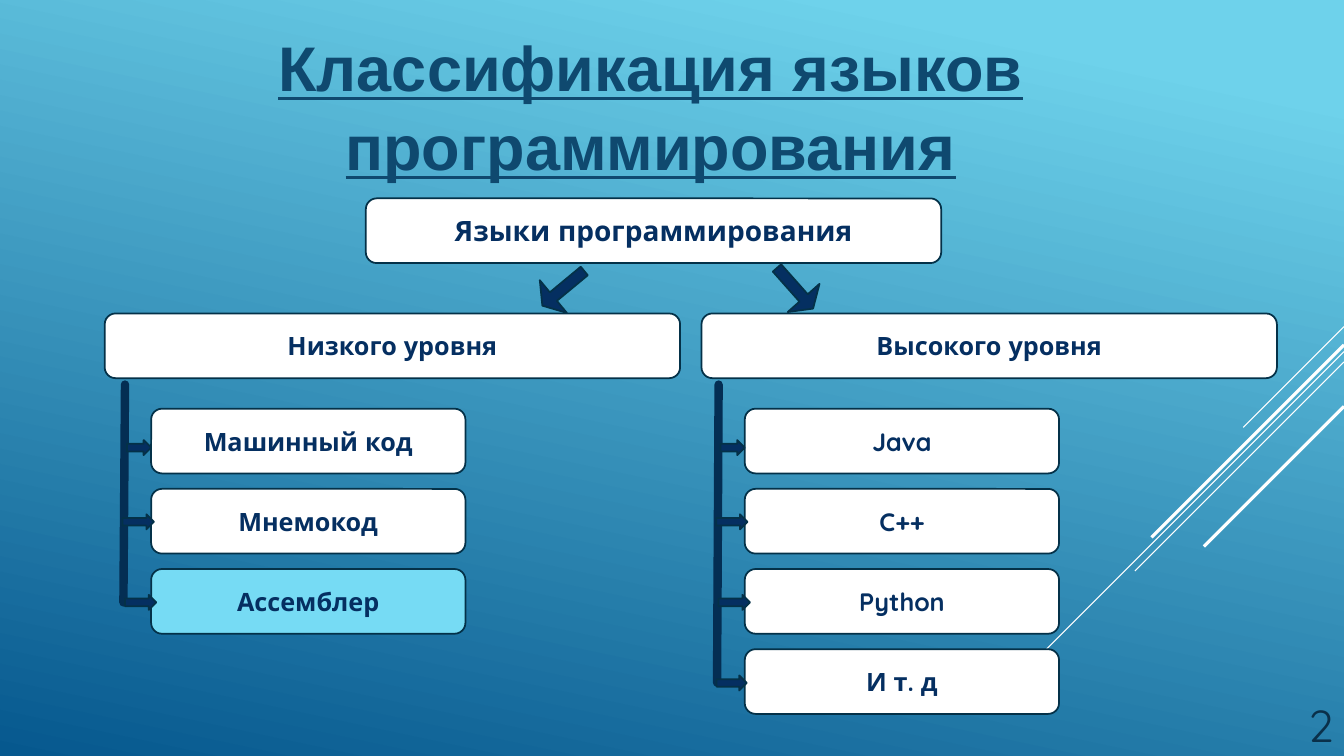
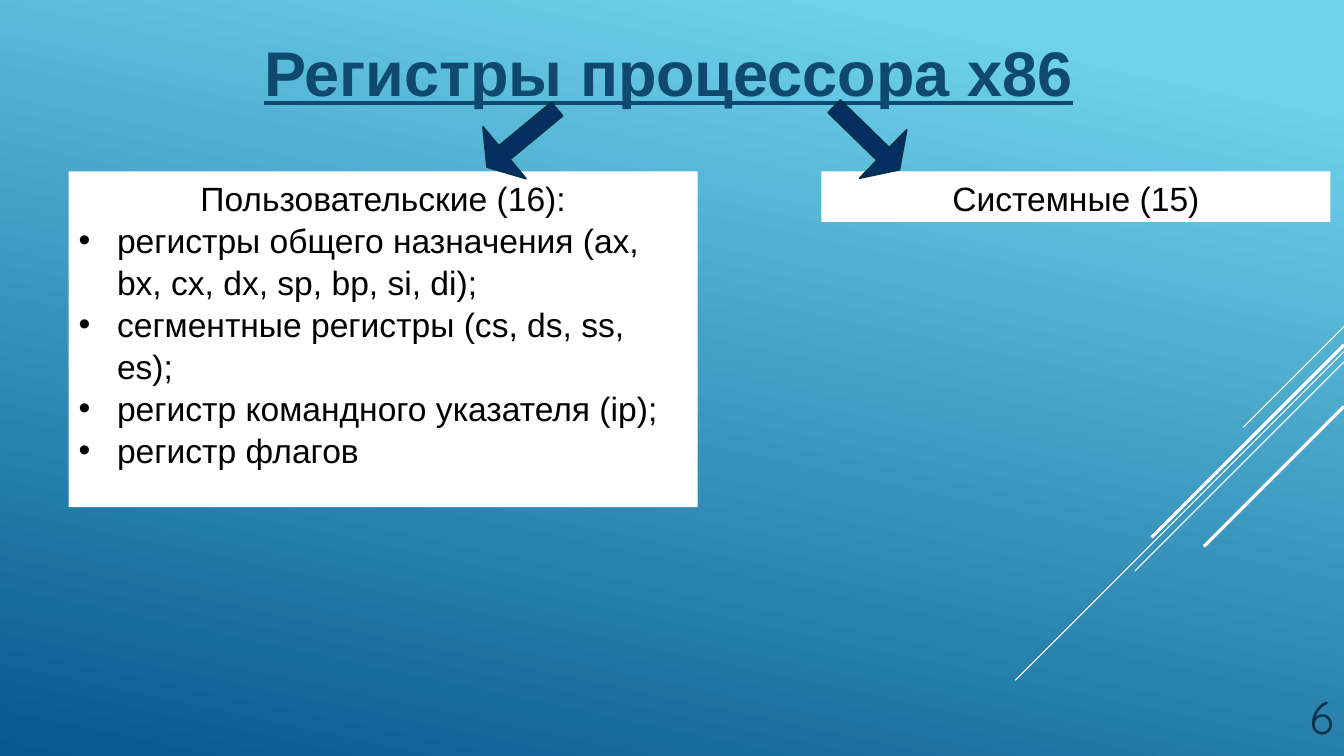
"""Build two slides on programming languages and x86 registers."""
from dataclasses import dataclass

from lxml.etree import SubElement
from pptx import Presentation
from pptx.dml.color import RGBColor
from pptx.enum.shapes import MSO_CONNECTOR, MSO_SHAPE
from pptx.enum.text import MSO_ANCHOR, MSO_AUTO_SIZE, PP_ALIGN
from pptx.oxml.ns import qn
from pptx.util import Cm, Pt

WHITE = RGBColor(0xFF, 0xFF, 0xFF)
BLACK = RGBColor(0x00, 0x00, 0x00)
SKY = RGBColor(0x6E, 0xD2, 0xEB)
DEEP = RGBColor(0x06, 0x58, 0x8E)
TITLE = RGBColor(0x0F, 0x49, 0x6F)
NUMBER = RGBColor(0x0A, 0x30, 0x4A)
NAVY = RGBColor(0x05, 0x2F, 0x61)
OUTLINE = RGBColor(0x04, 0x31, 0x48)
TRUNK = RGBColor(0x04, 0x2E, 0x53)
ACCENT = RGBColor(0x76, 0xDB, 0xF4)

ARIAL = "Arial"
QUICKSAND = "Quicksand"
SLIDE_W, SLIDE_H = 33.87, 19.05
ARIAL_SPACING = 1.04
BOX_H = 1.63
LEVEL_W = 14.5
ITEM_W = 7.92
ITEM_TOP = 10.3
ITEM_PITCH = 2.02
TRUNK_TOP = 9.69
INDENT = 0.97


@dataclass(frozen=True)
class Box:
    """Position and size in centimetres."""
    x: float
    y: float
    w: float
    h: float


@dataclass(frozen=True)
class Ray:
    """Diagonal line that starts at the right edge."""
    y: float
    reach: float
    width: float


@dataclass(frozen=True)
class Prong:
    """Small arrow, placed relative to the item it points at."""
    dx: float
    dy: float
    w: float


@dataclass(frozen=True)
class Branch:
    """Language level with its items."""
    level: str
    level_x: float
    item_x: float
    items: tuple[str, ...]
    highlight: str = ""


RAYS = (
    Ray(8.23, 2.54, 0.75),
    Ray(8.86, 8.28, 0.75),
    Ray(9.12, 5.27, 0.75),
    Ray(8.69, 4.85, 2.25),
    Ray(10.24, 3.53, 2.25),
)
PRONGS = (
    Prong(-0.61, 0.79, 0.61),
    Prong(-0.72, 0.64, 0.79),
    Prong(-0.66, 0.65, 0.79),
    Prong(-0.71, 0.66, 0.76),
)
BRANCHES = (
    Branch("Низкого уровня", 2.64, 3.81,
           ("Машинный код", "Мнемокод", "Ассемблер"), "Ассемблер"),
    Branch("Высокого уровня", 17.68, 18.77,
           ("Java", "C++", "Python", "И т. д")),
)
USER_REGISTERS = (
    "регистры общего назначения (ax, bx, cx, dx, sp, bp, si, di);",
    "сегментные регистры (cs, ds, ss, es);",
    "регистр командного указателя (ip);",
    "регистр флагов",
)


def style(p, size: float, font: str, color: RGBColor, align=PP_ALIGN.CENTER,
          bold: bool = False, underline: bool = False) -> None:
    """Format a paragraph and its runs."""
    p.alignment = align
    if font == ARIAL:
        p.line_spacing = ARIAL_SPACING
    for r in p.runs:
        f = r.font
        f.size, f.name, f.bold, f.underline = Pt(size), font, bold, underline
        f.color.rgb = color


def add_line(s, x1: float, y1: float, x2: float, y2: float, color: RGBColor,
             width: float, cap: str = "flat") -> None:
    """Draw a straight line without a shadow."""
    c = s.shapes.add_connector(MSO_CONNECTOR.STRAIGHT, Cm(x1), Cm(y1), Cm(x2), Cm(y2))
    c.line.color.rgb = color
    c.line.width = Pt(width)
    sp_pr = c.element.spPr
    sp_pr.find(qn("a:ln")).set("cap", cap)
    SubElement(sp_pr, qn("a:effectLst"))


def add_shape(s, kind: MSO_SHAPE, box: Box, fill: RGBColor, outlined: bool = True):
    """Add a filled preset shape."""
    sp = s.shapes.add_shape(kind, Cm(box.x), Cm(box.y), Cm(box.w), Cm(box.h))
    sp.shadow.inherit = False
    sp.fill.solid()
    sp.fill.fore_color.rgb = fill
    if outlined:
        sp.line.color.rgb = OUTLINE
        sp.line.width = Pt(1.25)
    else:
        sp.line.fill.background()
    return sp


def add_node(s, text: str, box: Box, size: float = 18, fill: RGBColor = WHITE) -> None:
    """Add a rounded box with a bold caption."""
    tf = add_shape(s, MSO_SHAPE.ROUNDED_RECTANGLE, box, fill).text_frame
    tf.text = text
    tf.vertical_anchor = MSO_ANCHOR.MIDDLE
    style(tf.paragraphs[0], size, QUICKSAND, NAVY, bold=True)


def add_big_arrow(s, box: Box, rotation: float) -> None:
    """Add a rotated block arrow."""
    sp = add_shape(s, MSO_SHAPE.RIGHT_ARROW, box, NAVY)
    sp.adjustments[0], sp.adjustments[1] = 0.26, 0.335
    sp.rotation = rotation


def add_branch(s, branch: Branch) -> None:
    """Draw the items of a level, their trunk and arrows."""
    x = branch.item_x
    tops = [ITEM_TOP + i * ITEM_PITCH for i in range(len(branch.items))]
    for text, y in zip(branch.items, tops):
        fill = ACCENT if text == branch.highlight else WHITE
        add_node(s, text, Box(x, y, ITEM_W, BOX_H), fill=fill)
    add_line(s, x - 0.66, TRUNK_TOP, x - 0.7, tops[-1] + 0.84, TRUNK, 6, "rnd")
    for prong, y in zip(PRONGS, tops):
        box = Box(x + prong.dx, y + prong.dy, prong.w, 0.38)
        add_shape(s, MSO_SHAPE.RIGHT_ARROW, box, NAVY)


def add_panel(s, heading: str, box: Box, bullets: tuple[str, ...] = ()) -> None:
    """Add a white panel with a heading and bullets."""
    tf = add_shape(s, MSO_SHAPE.RECTANGLE, box, WHITE, outlined=False).text_frame
    tf.vertical_anchor = MSO_ANCHOR.TOP
    tf.text = heading
    style(tf.paragraphs[0], 24, ARIAL, BLACK)
    for text in bullets:
        p = tf.add_paragraph()
        p.text = text
        style(p, 24, ARIAL, BLACK, PP_ALIGN.LEFT)
        p_pr = p._p.get_or_add_pPr()
        p_pr.set("marL", str(Cm(INDENT)))
        p_pr.set("indent", str(-Cm(INDENT)))
        SubElement(p_pr, qn("a:buFont")).set("typeface", ARIAL)
        SubElement(p_pr, qn("a:buChar")).set("char", "•")


def add_slide(prs, title: str, title_box: Box, number: str, number_y: float):
    """Add a slide with its rays, title and number."""
    s = prs.slides.add_slide(prs.slide_layouts[5])
    for ray in RAYS:
        add_line(s, SLIDE_W, ray.y, SLIDE_W - ray.reach, ray.y + ray.reach, WHITE, ray.width)
    sp = s.shapes.title
    sp.left, sp.top = Cm(title_box.x), Cm(title_box.y)
    sp.width, sp.height = Cm(title_box.w), Cm(title_box.h)
    tf = sp.text_frame
    tf.text = title
    tf.word_wrap = True
    tf.auto_size = MSO_AUTO_SIZE.NONE
    tf.vertical_anchor = MSO_ANCHOR.MIDDLE
    style(tf.paragraphs[0], 45, ARIAL, TITLE, bold=True, underline=True)
    tf = s.shapes.add_textbox(Cm(30.68), Cm(number_y), Cm(3.18), Cm(1.85)).text_frame
    tf.text = number
    tf.word_wrap = True
    tf.vertical_anchor = MSO_ANCHOR.BOTTOM
    style(tf.paragraphs[0], 32, QUICKSAND, NUMBER, PP_ALIGN.RIGHT)
    return s


def set_background(prs) -> None:
    """Give the master its gradient."""
    fill = prs.slide_master.background.fill
    fill.gradient()
    fill.gradient_angle = 258
    for stop, color, position in zip(fill.gradient_stops, (SKY, DEEP), (0.1, 1.0)):
        stop.color.rgb = color
        stop.position = position


def build_languages(prs) -> None:
    """Build the tree of programming languages."""
    s = add_slide(prs, "Классификация языков программирования",
                  Box(0, 0.58, 32.79, 4.11), "2", 17.2)
    add_node(s, "Языки программирования", Box(9.22, 5, LEVEL_W, BOX_H), size=20)
    for branch in BRANCHES:
        add_node(s, branch.level, Box(branch.level_x, 7.9, LEVEL_W, BOX_H))
    for x, rotation in ((13.51, 140.4), (19.35, 48.4)):
        add_big_arrow(s, Box(x, 6.73, 1.37, 1.07), rotation)
    for branch in BRANCHES:
        add_branch(s, branch)


def build_registers(prs) -> None:
    """Build the slide on processor registers."""
    s = add_slide(prs, "Регистры процессора x86",
                  Box(1.73, 0.66, 30.23, 2.18), "6", 17.02)
    add_panel(s, "Пользовательские (16):", Box(1.73, 4.32, 15.85, 8.46), USER_REGISTERS)
    add_panel(s, "Системные (15)", Box(20.7, 4.32, 12.83, 1.27))
    for x, rotation in ((20.7, 44.2), (12.01, 140.4)):
        add_big_arrow(s, Box(x, 2.63, 2.29, 1.7), rotation)


def main() -> None:
    """Create and save the presentation."""
    prs = Presentation()
    prs.slide_width, prs.slide_height = Cm(SLIDE_W), Cm(SLIDE_H)
    set_background(prs)
    build_languages(prs)
    build_registers(prs)
    prs.save("out.pptx")


if __name__ == "__main__":
    main()
